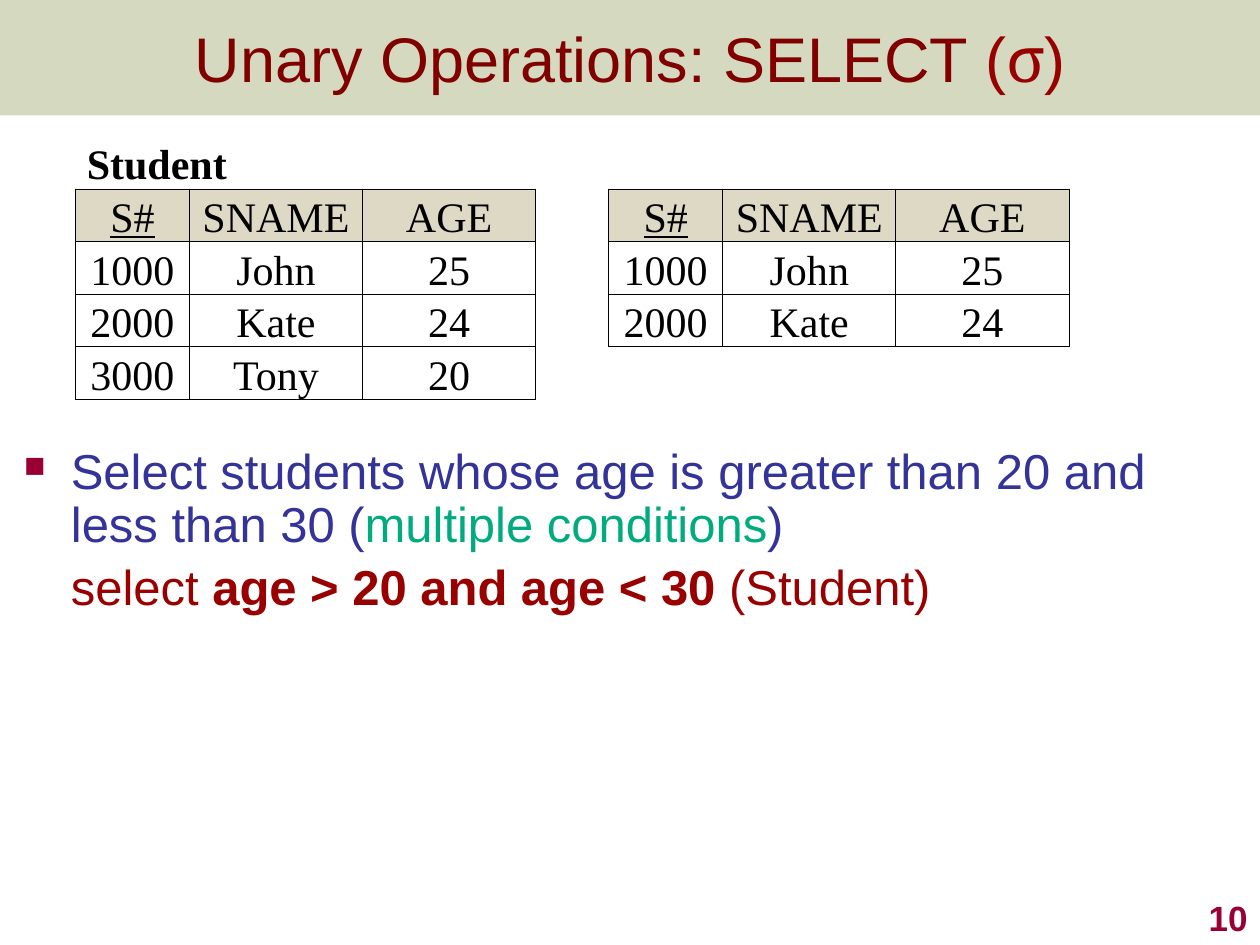
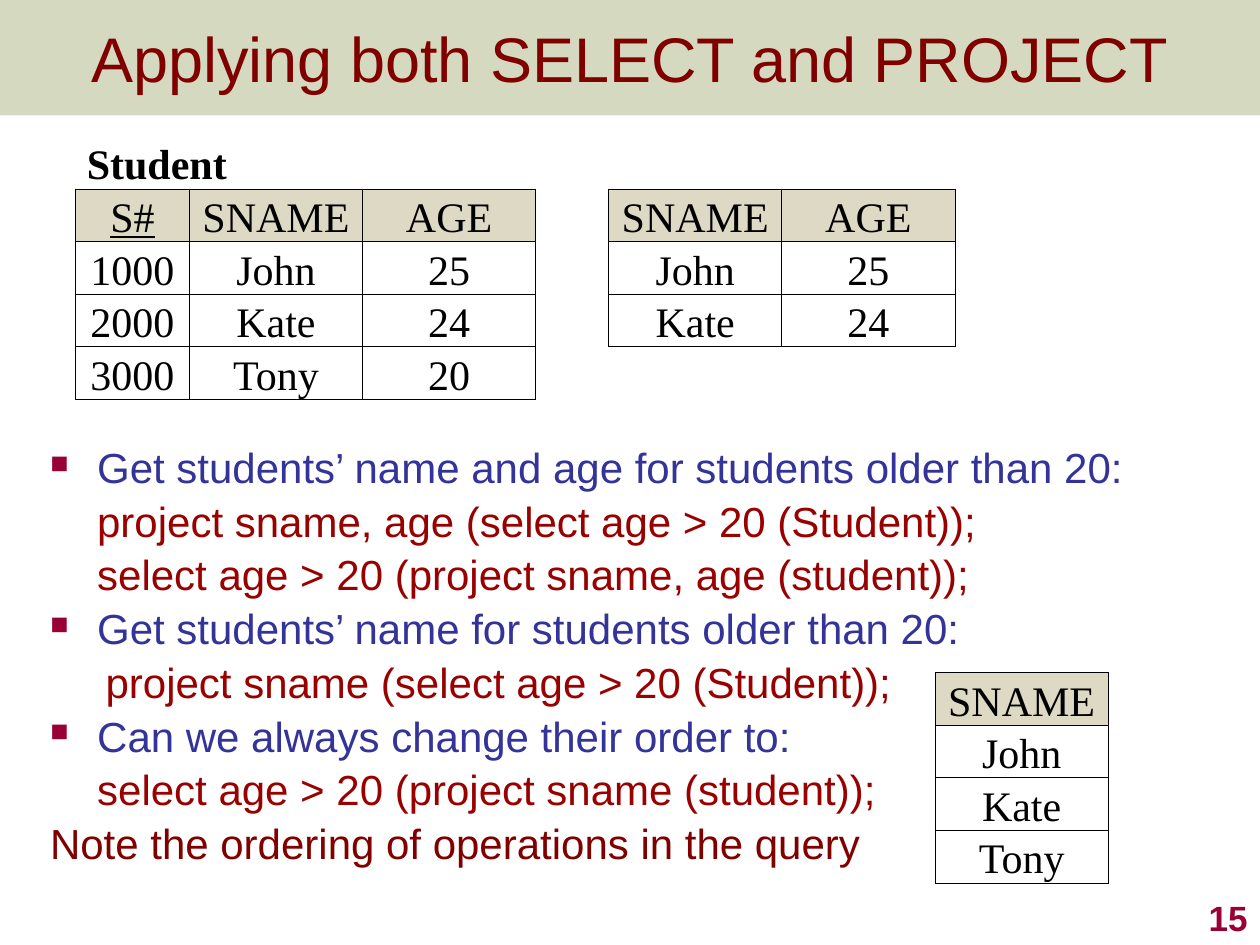
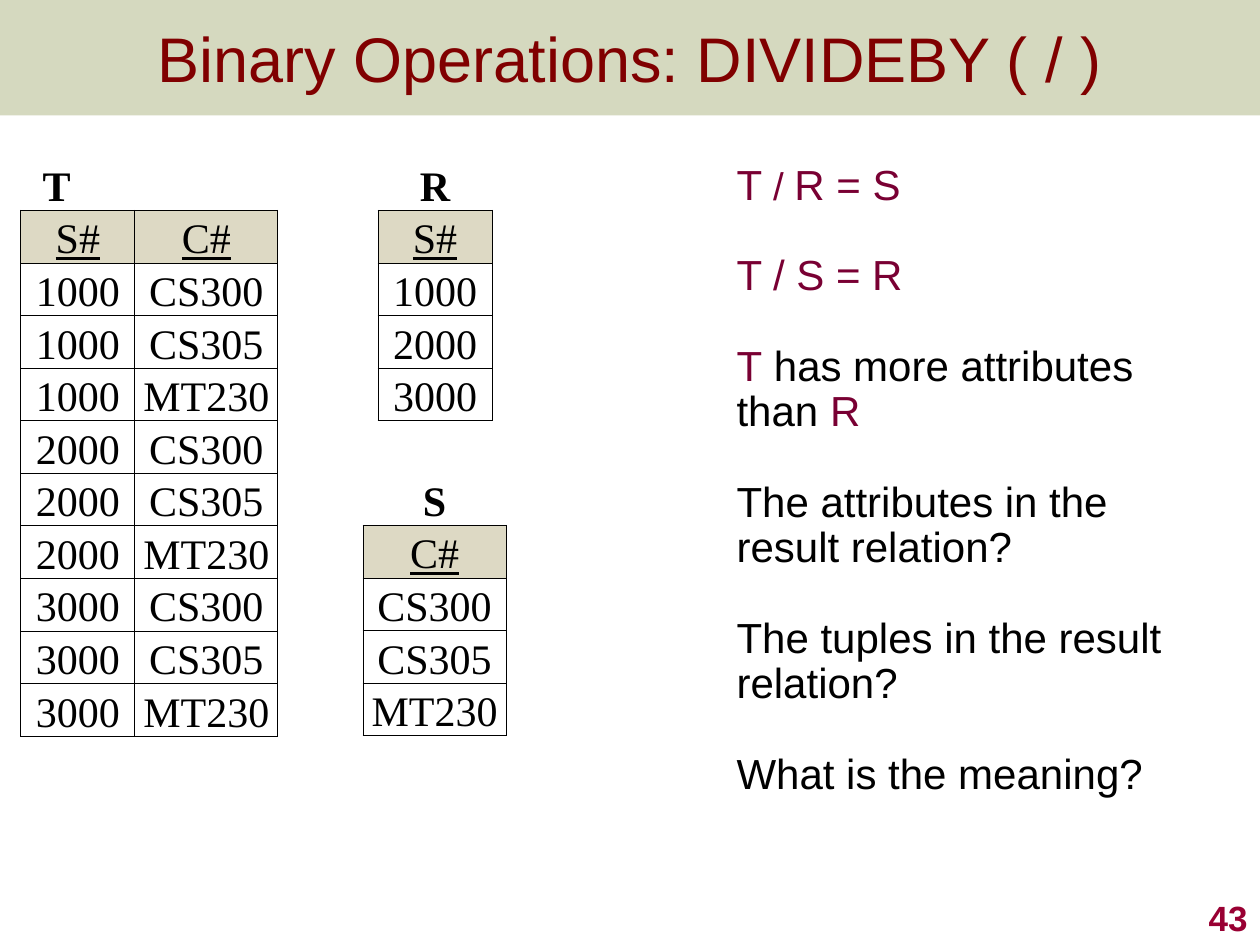
"""Build three lecture slides on relational algebra operations."""
from dataclasses import dataclass
from itertools import product

from lxml import etree
from pptx import Presentation
from pptx.dml.color import RGBColor
from pptx.enum.shapes import MSO_SHAPE
from pptx.enum.text import MSO_ANCHOR, PP_ALIGN
from pptx.oxml.ns import qn
from pptx.util import Cm, Pt

RECTANGLE = MSO_SHAPE.RECTANGLE
TOP, MIDDLE, BOTTOM = MSO_ANCHOR.TOP, MSO_ANCHOR.MIDDLE, MSO_ANCHOR.BOTTOM
LEFT, CENTER, RIGHT = PP_ALIGN.LEFT, PP_ALIGN.CENTER, PP_ALIGN.RIGHT

SLIDE_WIDTH, SLIDE_HEIGHT = 25.4, 19.05
BAND_HEIGHT = 2.33
ROW_HEIGHT = 1.06
TEXT_INDENT = 0.95
LINE_SPACING = 0.9
COLUMN_WIDTHS = {"S#": 2.3, "SNAME": 3.49, "AGE": 3.49, "C#": 2.88}
KEY_COLUMNS = ("S#", "C#")

STUDENTS = [("1000", "John", "25"), ("2000", "Kate", "24"), ("3000", "Tony", "20")]
OLDER_STUDENTS = [row for row in STUDENTS if int(row[2]) > 20]
NUMBERS = [row[0] for row in STUDENTS]
COURSES = ["CS300", "CS305", "MT230"]


@dataclass(frozen=True)
class Theme:
    """Colours, fonts and type sizes of the deck."""
    band: str = "76822E"
    band_opacity: int = 30
    title: str = "800000"
    query: str = "990000"
    statement: str = "333399"
    highlight: str = "00AB7E"
    accent: str = "990033"
    relation: str = "790033"
    text: str = "000000"
    paper: str = "FFFFFF"
    header: str = "DDD9C4"
    font: str = "Arial"
    symbol_font: str = "Cambria"
    table_font: str = "Times New Roman"
    title_size: int = 36
    large_size: int = 28
    body_size: int = 24
    slash_size: int = 22
    number_size: int = 20
    border_width: float = 0.5


THEME = Theme()


@dataclass(frozen=True)
class Span:
    """A piece of text that differs from its paragraph."""
    text: str
    color: str = None
    bold: bool = None
    font: str = None
    size: float = None


def style_font(font, color=None, bold=None, name=None, size=None):
    """Apply the given font properties and leave the others inherited."""
    if color:
        font.color.rgb = RGBColor.from_string(color)
    if size:
        font.size = Pt(size)
    font.bold = bold
    font.name = name


def write(paragraph, content, color, size, name=THEME.font, bold=None, align=LEFT):
    """Fill a paragraph with a string or a list of strings and spans."""
    paragraph.alignment = align
    style_font(paragraph.font, color, bold, name, size)
    for part in [content] if isinstance(content, str) else content:
        span = part if isinstance(part, Span) else Span(part)
        run = paragraph.add_run()
        run.text = span.text
        if span is part:
            style_font(run.font, span.color, span.bold, span.font, span.size)


def add_text_frame(slide, left, top, width, height, anchor=TOP):
    """Add a wrapping text box and return its text frame."""
    box = slide.shapes.add_textbox(Cm(left), Cm(top), Cm(width), Cm(height))
    frame = box.text_frame
    frame.word_wrap = True
    frame.vertical_anchor = anchor
    return frame


def next_paragraph(frame):
    """Return the first paragraph while it is empty, else a new one."""
    first = frame.paragraphs[0]
    return frame.add_paragraph() if first.runs else first


def add_body(slide, left, top, width, height):
    """Add the frame that holds statements and queries."""
    frame = add_text_frame(slide, left, top, width, height)
    frame.margin_right = 0
    return frame


def add_line(frame, content, color, size, indent=TEXT_INDENT):
    """Add one indented line of body text and return its paragraph."""
    paragraph = next_paragraph(frame)
    write(paragraph, content, color, size)
    paragraph.line_spacing = LINE_SPACING
    paragraph.space_before = Pt(0.2 * size)
    set_indent(paragraph, indent)
    return paragraph


def set_indent(paragraph, left, hanging=0):
    """Set the left margin and the hanging indent of a paragraph."""
    properties = paragraph._p.get_or_add_pPr()
    properties.set("marL", str(Cm(left)))
    properties.set("indent", str(-Cm(hanging)))
    return properties


def add_bullet(frame, content, size):
    """Add a statement with a small square bullet."""
    paragraph = add_line(frame, content, THEME.statement, size)
    properties = set_indent(paragraph, TEXT_INDENT, TEXT_INDENT)
    color = etree.Element(qn("a:buClr"))
    etree.SubElement(color, qn("a:srgbClr"), val=THEME.accent)
    bullet_size = etree.Element(qn("a:buSzPct"), val="60000")
    character = etree.Element(qn("a:buChar"), char="■")
    default_font = properties.find(qn("a:defRPr"))
    for element in (color, bullet_size, character):
        default_font.addprevious(element)


def add_border(cell, sides):
    """Draw thin lines on the given sides of a cell and none on the others."""
    properties = cell._tc.get_or_add_tcPr()
    for side in "LRTB":
        line = etree.SubElement(properties, qn(f"a:ln{side}"), w=str(Pt(THEME.border_width)))
        if side in sides:
            fill = etree.SubElement(line, qn("a:solidFill"))
            etree.SubElement(fill, qn("a:srgbClr"), val=THEME.text)
        else:
            etree.SubElement(line, qn("a:noFill"))


def format_cell(cell, fill, sides="LRTB"):
    """Set the borders, fill, margins and anchor of a cell."""
    add_border(cell, sides)
    cell.fill.solid()
    cell.fill.fore_color.rgb = RGBColor.from_string(fill)
    cell.margin_left = cell.margin_right = cell.margin_top = Cm(0.02)
    cell.margin_bottom = 0
    cell.vertical_anchor = BOTTOM


def write_cell(cell, text, bold=False, align=CENTER):
    """Write table text in a cell and return its paragraph."""
    paragraph = cell.text_frame.paragraphs[0]
    write(paragraph, text, THEME.text, THEME.body_size, THEME.table_font, bold, align)
    return paragraph


def add_caption(table, caption, indent):
    """Name the relation in the open first row, centred if there is no indent."""
    cells = list(table.rows[0].cells)
    for cell in cells:
        format_cell(cell, THEME.paper, "B")
    if len(cells) > 2:
        cells[0].merge(cells[1])
    paragraph = write_cell(cells[0], caption, True, LEFT if indent else CENTER)
    set_indent(paragraph, indent)


def add_relation(slide, left, top, columns, rows, caption=None, caption_indent=0):
    """Add a relation with underlined keys and an optional caption row."""
    header_row = 1 if caption else 0
    row_count = header_row + 1 + len(rows)
    widths = [COLUMN_WIDTHS[column] for column in columns]
    table = slide.shapes.add_table(row_count, len(columns), Cm(left), Cm(top),
                                   Cm(sum(widths)), Cm(ROW_HEIGHT * row_count)).table
    table.first_row = table.horz_banding = False
    for column, width in zip(table.columns, widths):
        column.width = Cm(width)
    for row in table.rows:
        row.height = Cm(ROW_HEIGHT)
    if caption:
        add_caption(table, caption, caption_indent)
    for row_index, values in enumerate([columns, *rows], header_row):
        is_header = row_index == header_row
        for column_index, value in enumerate(values):
            cell = table.cell(row_index, column_index)
            format_cell(cell, THEME.header if is_header else THEME.paper)
            paragraph = write_cell(cell, value)
            if value in KEY_COLUMNS:
                paragraph.font.underline = True


def add_student_relation(slide):
    """Add the Student relation used by the examples."""
    add_relation(slide, 1.52, 2.75, ["S#", "SNAME", "AGE"], STUDENTS, "Student", 0.21)


def add_band(slide):
    """Add the translucent band behind the title."""
    band = slide.shapes.add_shape(RECTANGLE, 0, 0, Cm(SLIDE_WIDTH), Cm(BAND_HEIGHT))
    band.shadow.inherit = False
    band.line.fill.background()
    band.fill.solid()
    band.fill.fore_color.rgb = RGBColor.from_string(THEME.band)
    color = band._element.spPr.find(f".//{qn('a:srgbClr')}")
    etree.SubElement(color, qn("a:alpha"), val=str(THEME.band_opacity * 1000))


def add_slide(presentation, title, number):
    """Add a blank slide with the band, title and slide number."""
    slide = presentation.slides.add_slide(presentation.slide_layouts[6])
    add_band(slide)
    title_frame = add_text_frame(slide, 0, 0, SLIDE_WIDTH, BAND_HEIGHT, MIDDLE)
    write(title_frame.paragraphs[0], title, THEME.title, THEME.title_size, align=CENTER)
    number_frame = add_text_frame(slide, 20.12, 17.78, 5.28, 1.27, BOTTOM)
    write(number_frame.paragraphs[0], str(number), THEME.accent, THEME.number_size,
          bold=True, align=RIGHT)
    return slide


def build_select(presentation):
    """Show a selection with multiple conditions."""
    title = ["Unary Operations: SELECT ", Span("(", THEME.query),
             Span("σ", THEME.query, font=THEME.symbol_font), Span(")", THEME.query)]
    slide = add_slide(presentation, title, 10)
    add_student_relation(slide)
    add_relation(slide, 12.27, 3.81, ["S#", "SNAME", "AGE"], OLDER_STUDENTS)
    body = add_body(slide, 0.23, 8.89, 24.1, 5.49)
    add_bullet(body, ["Select students whose age is greater than 20 and less than 30 (",
                      Span("multiple conditions", THEME.highlight), ")"], THEME.large_size)
    add_line(body, ["select ", Span("age > 20 and age < 30 ", bold=True), "(Student)"],
             THEME.query, THEME.large_size)


def build_select_project(presentation):
    """Combine selection and projection in queries."""
    slide = add_slide(presentation, "Applying both SELECT and PROJECT", 15)
    size = THEME.body_size
    body = add_body(slide, 0.76, 8.89, 23.88, 10.16)
    add_bullet(body, "Get students’ name and age for students older than 20:", size)
    add_line(body, "project sname, age (select age > 20 (Student));", THEME.query, size)
    add_line(body, "select age > 20 (project sname, age (student));", THEME.query, size)
    add_bullet(body, "Get students’ name for students older than 20:", size)
    add_line(body, "project sname (select age > 20 (Student));", THEME.query, size, 1.12)
    add_bullet(body, "Can we always change their order to:", size)
    add_line(body, "select age > 20 (project sname (student));", THEME.query, size)
    add_line(body, "Note the ordering of operations in the query", THEME.title, size, 0)
    add_relation(slide, 18.85, 13.56, ["SNAME"], [row[1:2] for row in STUDENTS])
    add_student_relation(slide)
    add_relation(slide, 12.27, 3.81, ["SNAME", "AGE"], [row[1:] for row in OLDER_STUDENTS])


def build_divide(presentation):
    """Show division of relations and questions about it."""
    slide = add_slide(presentation, "Binary Operations: DIVIDEBY ( / )", 43)
    notes = [
        (["T ", Span("/ ", size=THEME.slash_size), "R = S"], THEME.relation),
        ("T / S = R", THEME.relation),
        ([Span("T", THEME.relation), " has more attributes than ",
          Span("R", THEME.relation)], THEME.text),
        ("The attributes in the result relation?", THEME.text),
        ("The tuples in the result relation?", THEME.text),
        ("What is the meaning?", THEME.text),
    ]
    frame = add_text_frame(slide, 14.6, 3.18, 9.32, 14.1)
    for index, (content, color) in enumerate(notes):
        paragraph = next_paragraph(frame)
        write(paragraph, content, color, THEME.body_size)
        paragraph.line_spacing = LINE_SPACING
        paragraph.space_before = Pt(25.9 if index else 0)
    add_relation(slide, 0.42, 3.18, ["S#", "C#"], list(product(NUMBERS, COURSES)), "T", 0.42)
    add_relation(slide, 7.62, 3.18, ["S#"], [[number] for number in NUMBERS], "R")
    add_relation(slide, 7.32, 9.53, ["C#"], [[course] for course in COURSES], "S")


def main():
    """Build and save the presentation."""
    presentation = Presentation()
    presentation.slide_width = Cm(SLIDE_WIDTH)
    presentation.slide_height = Cm(SLIDE_HEIGHT)
    build_select(presentation)
    build_select_project(presentation)
    build_divide(presentation)
    presentation.save("out.pptx")


if __name__ == "__main__":
    main()
